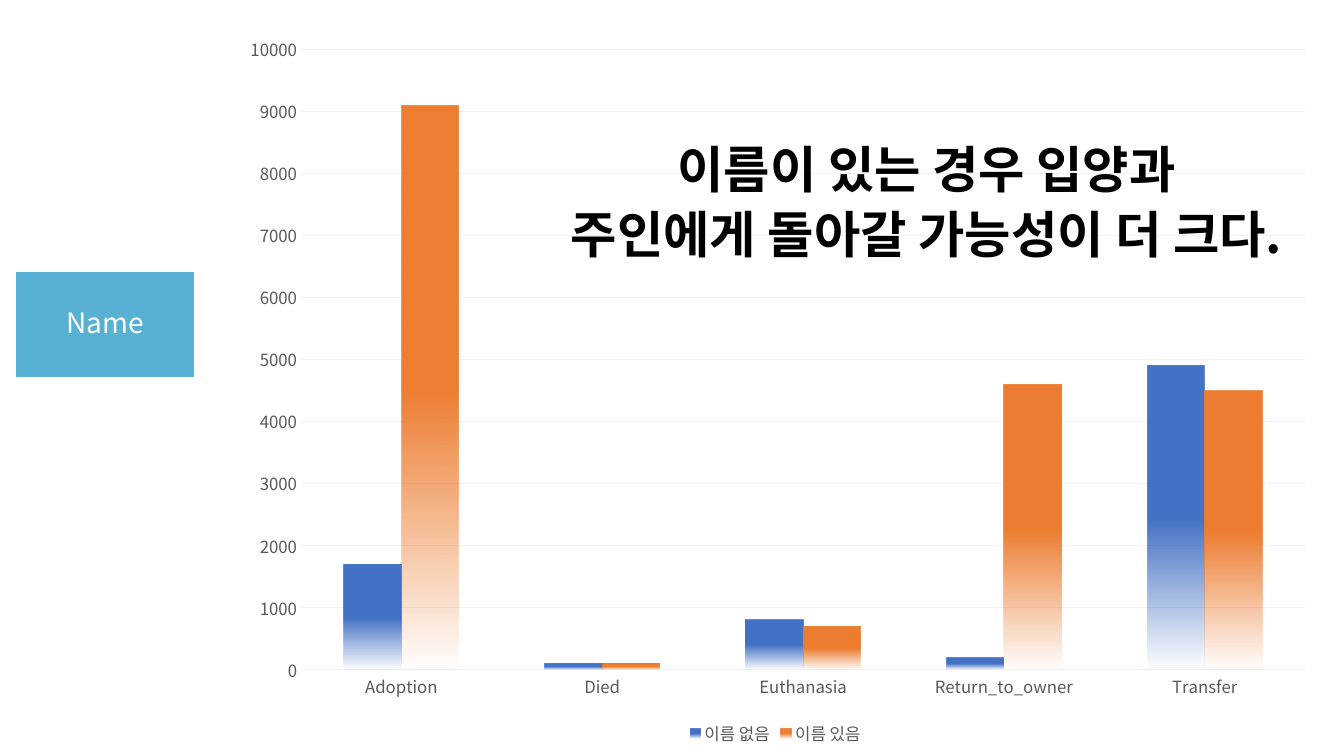
from lxml import etree
from pptx import Presentation, util as u
from pptx.chart.data import CategoryChartData
from pptx.dml.color import RGBColor
from pptx.enum import chart as ch, shapes, text
from pptx.oxml import parse_xml
from pptx.oxml.ns import nsdecls, qn

FONT = "Noto Sans CJK KR"
WHITE, BLACK, GREY, GRID = "FFFFFF", "000000", "595959", "F2F2F2"
SKY, BLUE, ORANGE = "58B1D2", "4472C4", "ED7D31"


def rgb(code):
    return RGBColor.from_string(code)


class Deck:
    def __init__(self):
        self.prs = Presentation()
        self.prs.slide_width, self.prs.slide_height = u.Cm(33.87), u.Cm(19.05)
        self.slide = self.prs.slides.add_slide(self.prs.slide_layouts[6])

    def style(self, font, size, color, bold=False):
        font.name, font.size, font.bold = FONT, u.Pt(size), bold
        font.color.rgb = rgb(color)

    def words(self, frame, lines, size, color, space, bold=False):
        """Fill a text frame with centred paragraphs, one per line."""
        frame.text = lines
        for para in frame.paragraphs:
            para.alignment = text.PP_ALIGN.CENTER
            para.line_spacing = space
            for run in para.runs:
                self.style(run.font, size, color, bold)
                ea = etree.SubElement(run.font._element, qn("a:ea"))
                ea.set("typeface", FONT)

    def label(self, lines, *box):
        shape = self.slide.shapes.add_shape(
            shapes.MSO_SHAPE.RECTANGLE, *map(u.Cm, box))
        shape.shadow.inherit = False
        shape.fill.solid()
        shape.fill.fore_color.rgb = rgb(SKY)
        shape.line.color.rgb = rgb(WHITE)
        shape.line.width = u.Pt(1)
        shape.text_frame.vertical_anchor = text.MSO_ANCHOR.MIDDLE
        self.words(shape.text_frame, lines, 20, WHITE, 0.9)

    def claim(self, lines, *box):
        frame = self.slide.shapes.add_textbox(*map(u.Cm, box)).text_frame
        frame.word_wrap = False
        frame.auto_size = text.MSO_AUTO_SIZE.SHAPE_TO_FIT_TEXT
        self.words(frame, lines, 36, BLACK, 1.07, bold=True)

    def fade(self, series, color):
        """Fill a series with a colour that fades out over its lower half."""
        fill = series.format.fill
        fill.gradient()
        fill.gradient_angle = 270
        for stop, place in zip(fill.gradient_stops, (0.5, 1)):
            stop.position = place
            stop.color.rgb = rgb(color)
        last = series._element.xpath(".//a:gs[last()]/a:srgbClr")[0]
        etree.SubElement(last, qn("a:alpha")).set("val", "0")

    def place(self, chart, **sides):
        """Fix the inner plot area, in shares of the chart."""
        area = chart._chartSpace.chart.plotArea
        for old in area.findall(qn("c:layout")):
            area.remove(old)
        parts = "".join(f'<c:{k} val="{v}"/>' for k, v in sides.items())
        area.insert(0, parse_xml(
            f'<c:layout {nsdecls("c")}><c:manualLayout>'
            '<c:layoutTarget val="inner"/><c:xMode val="edge"/>'
            f'<c:yMode val="edge"/>{parts}</c:manualLayout></c:layout>'))

    def columns(self, cats, rows, *box):
        data = CategoryChartData()
        data.categories = cats
        for name, _, vals in rows:
            data.add_series(name, vals)
        chart = self.slide.shapes.add_chart(
            ch.XL_CHART_TYPE.COLUMN_CLUSTERED, *map(u.Cm, box), data).chart
        self.style(chart.font, 10, BLACK)
        chart.has_title = False
        chart.has_legend = True
        chart.legend.position = ch.XL_LEGEND_POSITION.BOTTOM
        chart.legend.include_in_layout = False
        self.style(chart.legend.font, 12, GREY)
        plot = chart.plots[0]
        plot.gap_width, plot.overlap, plot.vary_by_categories = 150, 0, False
        for series, (_, color, _) in zip(plot.series, rows):
            self.fade(series, color)
        for axis in (chart.category_axis, chart.value_axis):
            axis.major_tick_mark = ch.XL_TICK_MARK.NONE
            axis.format.line.fill.background()
            self.style(axis.tick_labels.font, 12, GREY)
        scale = chart.value_axis
        scale.minimum_scale, scale.maximum_scale = 0, 10000
        scale.major_unit = 1000
        scale.major_gridlines.format.line.color.rgb = rgb(GRID)
        scale.major_gridlines.format.line.width = u.Pt(0.75)
        self.place(chart, x=0.07, y=0.04, w=0.91, h=0.85)


def main():
    deck = Deck()
    deck.label("Name", 0.39, 6.83, 4.52, 2.69)
    deck.columns(
        ["Adoption", "Died", "Euthanasia", "Return_to_owner", "Transfer"],
        [("이름 없음", BLUE, (1700, 100, 800, 200, 4900)),
         ("이름 있음", ORANGE, (9100, 100, 700, 4600, 4500))],
        5.64, 0.51, 27.81, 18.39)
    deck.claim("이름이 있는 경우 입양과\n주인에게 돌아갈 가능성이 더 크다.",
               13.61, 3.25, 19.48, 3.56)
    deck.prs.save("out.pptx")


if __name__ == "__main__":
    main()
